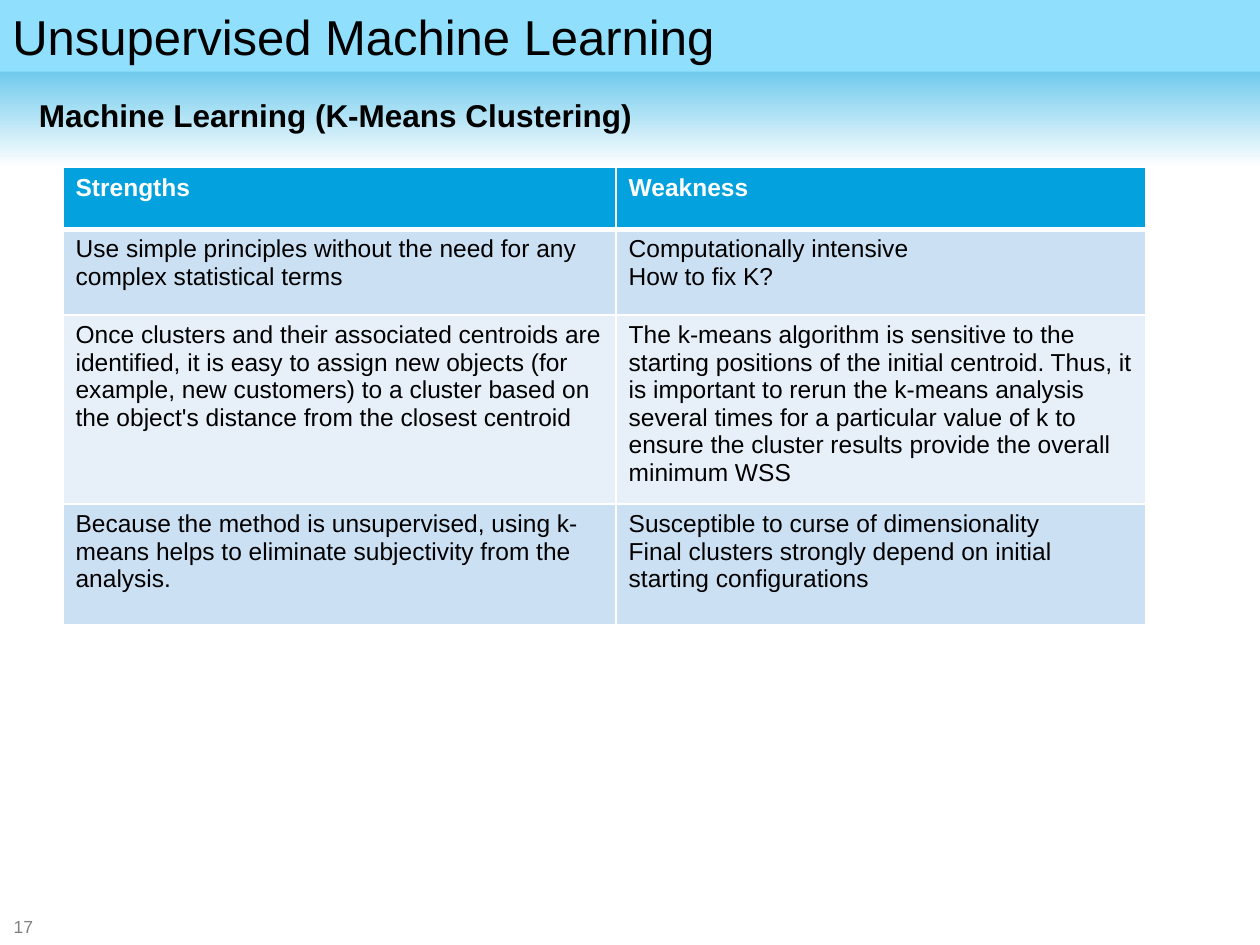
from dataclasses import dataclass

from lxml.etree import SubElement
from pptx import Presentation
from pptx.dml.color import RGBColor
from pptx.enum.shapes import MSO_SHAPE as Shape
from pptx.enum.text import MSO_ANCHOR as Anchor, PP_ALIGN as Align
from pptx.oxml.ns import qn
from pptx.util import Inches, Pt


@dataclass(frozen=True)
class Theme:
    font: str = "Arial"
    accent: str = "03A2DF"
    banner: str = "8FDFFD"
    bands: tuple = ("CCE0F3", "E7F0F9")
    ink: str = "000000"
    paper: str = "FFFFFF"
    muted: str = "808080"
    title_size: int = 28
    heading_size: int = 18
    body_size: int = 14
    number_size: int = 10


THEME = Theme()
COLUMNS = (4.39, 4.2)
ROWS = (0.49, 0.68, 1.5, 0.96)
COMPARISON = (
    ("Strengths", "Weakness"),
    ("Use simple principles without the need for any complex statistical terms",
     "Computationally intensive\nHow to fix K?"),
    ("Once clusters and their associated centroids are identified, it is easy to "
     "assign new objects (for example, new customers) to a cluster based on the "
     "object's distance from the closest centroid",
     "The k-means algorithm is sensitive to the starting positions of the initial "
     "centroid. Thus, it is important to rerun the k-means analysis several times "
     "for a particular value of k to ensure the cluster results provide the "
     "overall minimum WSS"),
    ("Because the method is unsupervised, using k-means helps to eliminate "
     "subjectivity from the analysis.",
     "Susceptible to curse of dimensionality\n"
     "Final clusters strongly depend on initial starting configurations"),
)


def rgb(color):
    return RGBColor.from_string(color)


def lengths(box):
    return [Inches(value) for value in box]


def write(frame, text, size, color, bold=False):
    """Fill a text frame, one paragraph for each line of text."""
    frame.word_wrap = True
    frame.text = text
    font_format = {"name": THEME.font, "size": Pt(size), "bold": bold}
    for para in frame.paragraphs:
        para.alignment = Align.LEFT
        for span in para.runs:
            for name, value in font_format.items():
                setattr(span.font, name, value)
            span.font.color.rgb = rgb(color)


def add_rectangle(slide, box):
    shape = slide.shapes.add_shape(Shape.RECTANGLE, *lengths(box))
    shape.shadow.inherit = False
    shape.line.fill.background()
    return shape


def add_backdrop(slide, box):
    fill = add_rectangle(slide, box).fill
    fill.gradient()
    fill.gradient_angle = 270
    for stop, position, color in zip(
            fill.gradient_stops, (0, 1), (THEME.accent, THEME.paper)):
        stop.position = position
        stop.color.rgb = rgb(color)


def add_title(slide, box, text):
    banner = add_rectangle(slide, box)
    banner.fill.solid()
    banner.fill.fore_color.rgb = rgb(THEME.banner)
    banner.text_frame.vertical_anchor = Anchor.MIDDLE
    write(banner.text_frame, text, THEME.title_size, THEME.ink)


def add_heading(slide, box, text):
    frame = slide.shapes.add_textbox(*lengths(box)).text_frame
    write(frame, text, THEME.heading_size, THEME.ink, bold=True)


def add_page_number(slide, box, text):
    frame = slide.shapes.add_textbox(*lengths(box)).text_frame
    frame.margin_top = frame.margin_bottom = 0
    frame.vertical_anchor = Anchor.MIDDLE
    write(frame, text, THEME.number_size, THEME.muted)


def set_borders(cell, widths):
    """Draw white borders; widths maps a side (L, R, T, B) to points."""
    properties = cell._tc.get_or_add_tcPr()
    for side, width in widths.items():
        line = SubElement(properties, qn(f"a:ln{side}"), w=str(Pt(width)))
        fill = SubElement(line, qn("a:solidFill"))
        SubElement(fill, qn("a:srgbClr"), val=THEME.paper)


def add_comparison(slide, left, top):
    box = (left, top, sum(COLUMNS), sum(ROWS))
    table = slide.shapes.add_table(len(ROWS), len(COLUMNS), *lengths(box)).table
    for column, width in zip(table.columns, COLUMNS):
        column.width = Inches(width)
    for index, (row, height) in enumerate(zip(table.rows, ROWS)):
        row.height = Inches(height)
        header = index == 0
        color = THEME.accent if header else THEME.bands[(index - 1) % 2]
        widths = {"L": 1, "R": 1, "T": 3 if index == 1 else 1, "B": 3 if header else 1}
        for cell, text in zip(row.cells, COMPARISON[index]):
            set_borders(cell, widths)
            cell.fill.solid()
            cell.fill.fore_color.rgb = rgb(color)
            write(cell.text_frame, text, THEME.body_size,
                  THEME.paper if header else THEME.ink, bold=header)


def main():
    deck = Presentation()
    deck.slide_width, deck.slide_height = Inches(10), Inches(7.5)
    slide = deck.slides.add_slide(deck.slide_layouts[6])
    add_backdrop(slide, (0, 0, 10, 1.33))
    add_page_number(slide, (0.01, 7.27, 0.39, 0.16), "17")
    add_title(slide, (0, 0, 10, 0.57), "Unsupervised Machine Learning")
    add_comparison(slide, 0.5, 1.33)
    add_heading(slide, (0.21, 0.71, 9.21, 0.45), "Machine Learning (K-Means Clustering)")
    deck.save("out.pptx")


if __name__ == "__main__":
    main()
